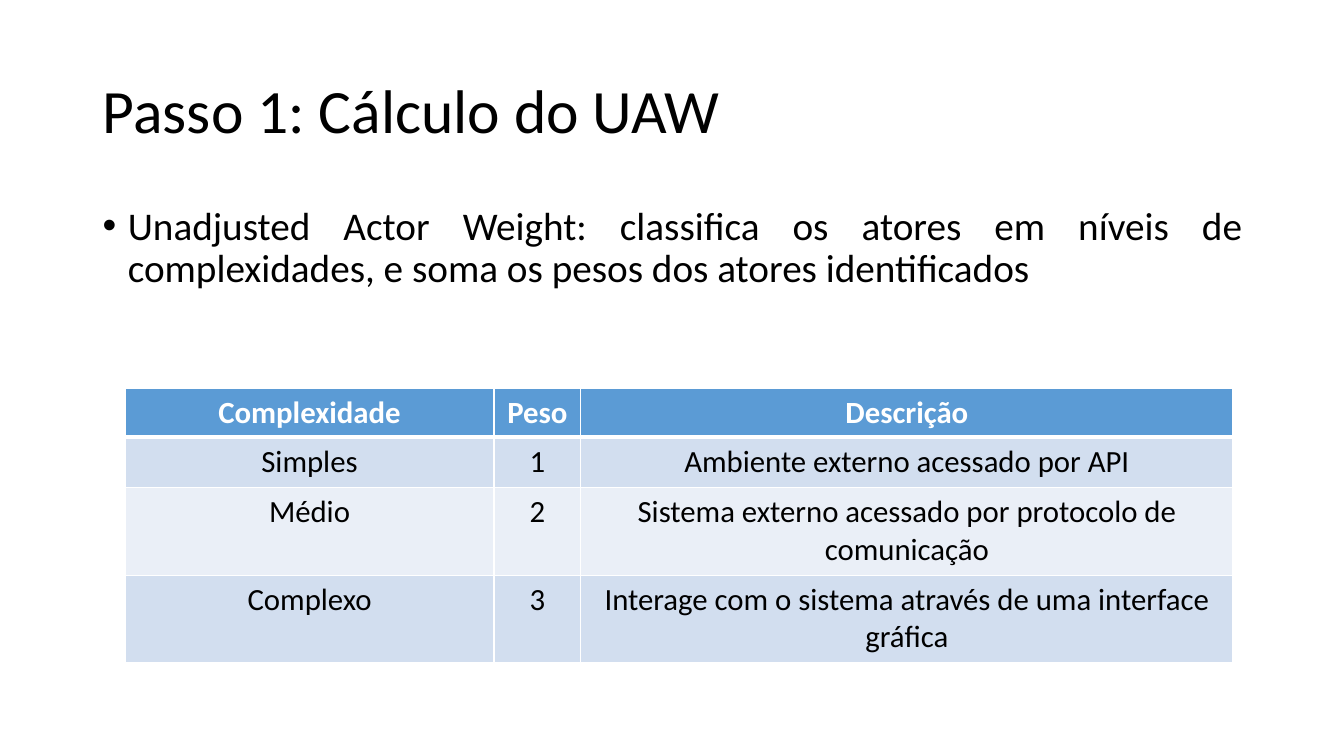
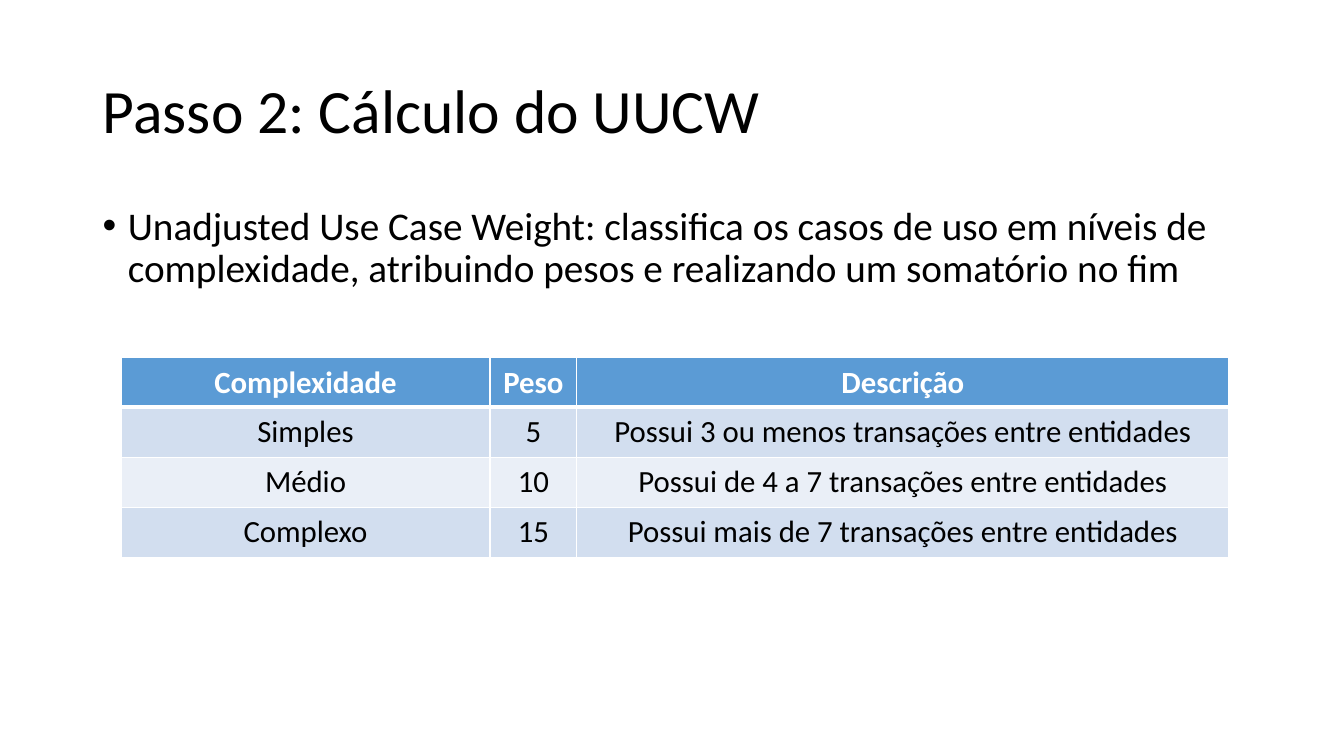
from lxml.etree import SubElement
from pptx import Presentation
from pptx.dml.color import RGBColor
from pptx.enum.text import MSO_ANCHOR, MSO_AUTO_SIZE, PP_ALIGN
from pptx.oxml.ns import qn
from pptx.util import Inches, Pt

# Content: place is left, top; box is the height of the body text
HEAD = ("Complexidade", "Peso", "Descrição")
SLIDES = [
    dict(
        title="Passo 1: Cálculo do UAW",
        body="Unadjusted Actor Weight: classifica os atores em níveis de "
             "complexidades, e soma os pesos dos atores identificados",
        align=PP_ALIGN.JUSTIFY, box=1.12, place=(1.24, 3.85),
        tall=(0.48, 0.5, 0.87, 0.87),
        rows=[
            ("Simples", "1", "Ambiente externo acessado por API"),
            ("Médio", "2", "Sistema externo acessado por protocolo de comunicação"),
            ("Complexo", "3", "Interage com o sistema através de uma interface gráfica"),
        ],
    ),
    dict(
        title="Passo 2: Cálculo do UUCW",
        body="Unadjusted Use Case Weight: classifica os casos de uso em níveis de "
             "complexidade, atribuindo pesos e realizando um somatório no fim",
        align=PP_ALIGN.LEFT, box=4.76, place=(1.2, 3.55),
        tall=(0.48, 0.5, 0.5, 0.5),
        rows=[
            ("Simples", "5", "Possui 3 ou menos transações entre entidades"),
            ("Médio", "10", "Possui de 4 a 7 transações entre entidades"),
            ("Complexo", "15", "Possui mais de 7 transações entre entidades"),
        ],
    ),
]

# Shared style
FONT = "Calibri"
BLACK = RGBColor(0x00, 0x00, 0x00)
WHITE = RGBColor(0xFF, 0xFF, 0xFF)
BLUE = RGBColor(0x5B, 0x9B, 0xD5)
BANDS = (RGBColor(0xD2, 0xDE, 0xEF), RGBColor(0xEA, 0xEF, 0xF7))
LEFT, WIDE = 0.92, 11.5
COLS = (3.66, 0.86, 6.47)


def write(frame, text, size, color=BLACK, bold=False, align=PP_ALIGN.LEFT,
          space=1.0, before=0, bullet=False):
    frame.word_wrap = True
    para = frame.paragraphs[0]
    para.alignment = align
    para.line_spacing = space
    para.space_before = Pt(before)
    if bullet:
        props = para._p.get_or_add_pPr()
        props.set("marL", str(Inches(0.25)))
        props.set("indent", str(-Inches(0.25)))
        SubElement(props, qn("a:buFont"), typeface="Arial")
        SubElement(props, qn("a:buChar"), char="•")
    run = para.add_run()
    run.text = text
    font = run.font
    font.name, font.size, font.bold = FONT, Pt(size), bold
    font.color.rgb = color


def border(cell, top, base):
    props = cell._tc.get_or_add_tcPr()
    for side, width in (("L", 1), ("R", 1), ("T", top), ("B", base)):
        line = SubElement(props, qn("a:ln" + side), w=str(Pt(width)))
        fill = SubElement(line, qn("a:solidFill"))
        SubElement(fill, qn("a:srgbClr"), val=str(WHITE))


def add_grid(slide, place, tall, rows):
    left, top = place
    grid = slide.shapes.add_table(
        len(rows), len(COLS), Inches(left), Inches(top),
        Inches(sum(COLS)), Inches(sum(tall))).table
    for col, width in zip(grid.columns, COLS):
        col.width = Inches(width)
    for r, texts in enumerate(rows):
        grid.rows[r].height = Inches(tall[r])
        first = r == 0
        for c, text in enumerate(texts):
            cell = grid.cell(r, c)
            cell.margin_left = cell.margin_right = Inches(0.12)
            cell.margin_top = cell.margin_bottom = Inches(0.06)
            # The heavy rule lies between the header and the first row
            border(cell, 3 if r == 1 else 1, 3 if first else 1)
            cell.fill.solid()
            cell.fill.fore_color.rgb = BLUE if first else BANDS[(r - 1) % 2]
            write(cell.text_frame, text, 22, WHITE if first else BLACK,
                  bold=first, align=PP_ALIGN.CENTER)


deck = Presentation()
deck.slide_width, deck.slide_height = Inches(13.33), Inches(7.5)

for data in SLIDES:
    slide = deck.slides.add_slide(deck.slide_layouts[5])

    # Title
    title = slide.shapes.title
    title.left, title.top = Inches(LEFT), Inches(0.4)
    title.width, title.height = Inches(WIDE), Inches(1.45)
    title.text_frame.auto_size = MSO_AUTO_SIZE.NONE
    title.text_frame.vertical_anchor = MSO_ANCHOR.MIDDLE
    write(title.text_frame, data["title"], 44, space=0.9)

    # Body
    body = slide.shapes.add_textbox(
        Inches(LEFT), Inches(2), Inches(WIDE), Inches(data["box"]))
    write(body.text_frame, data["body"], 28, align=data["align"],
          space=0.9, before=10, bullet=True)

    # Table
    add_grid(slide, data["place"], data["tall"], [HEAD] + data["rows"])

deck.save("out.pptx")
